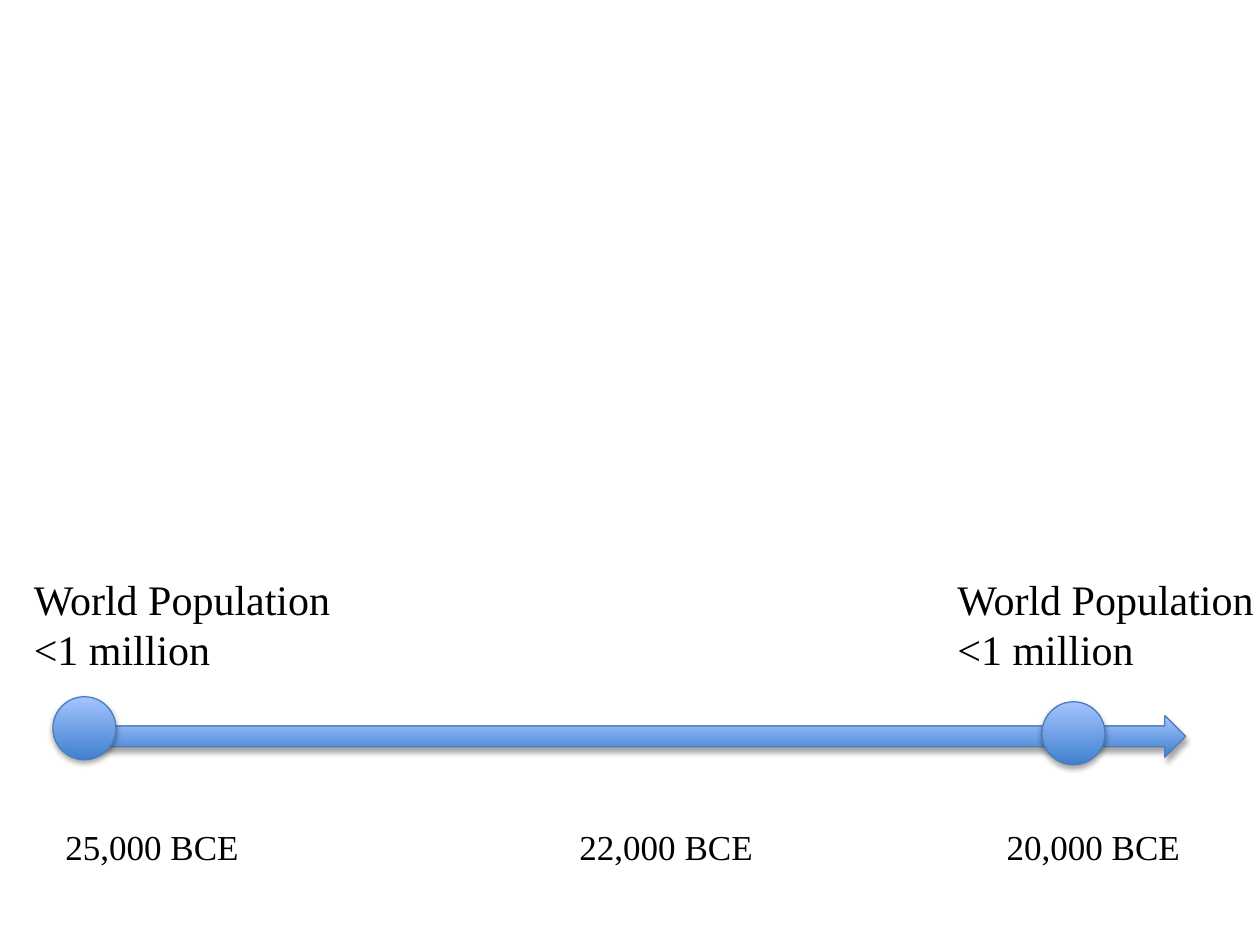
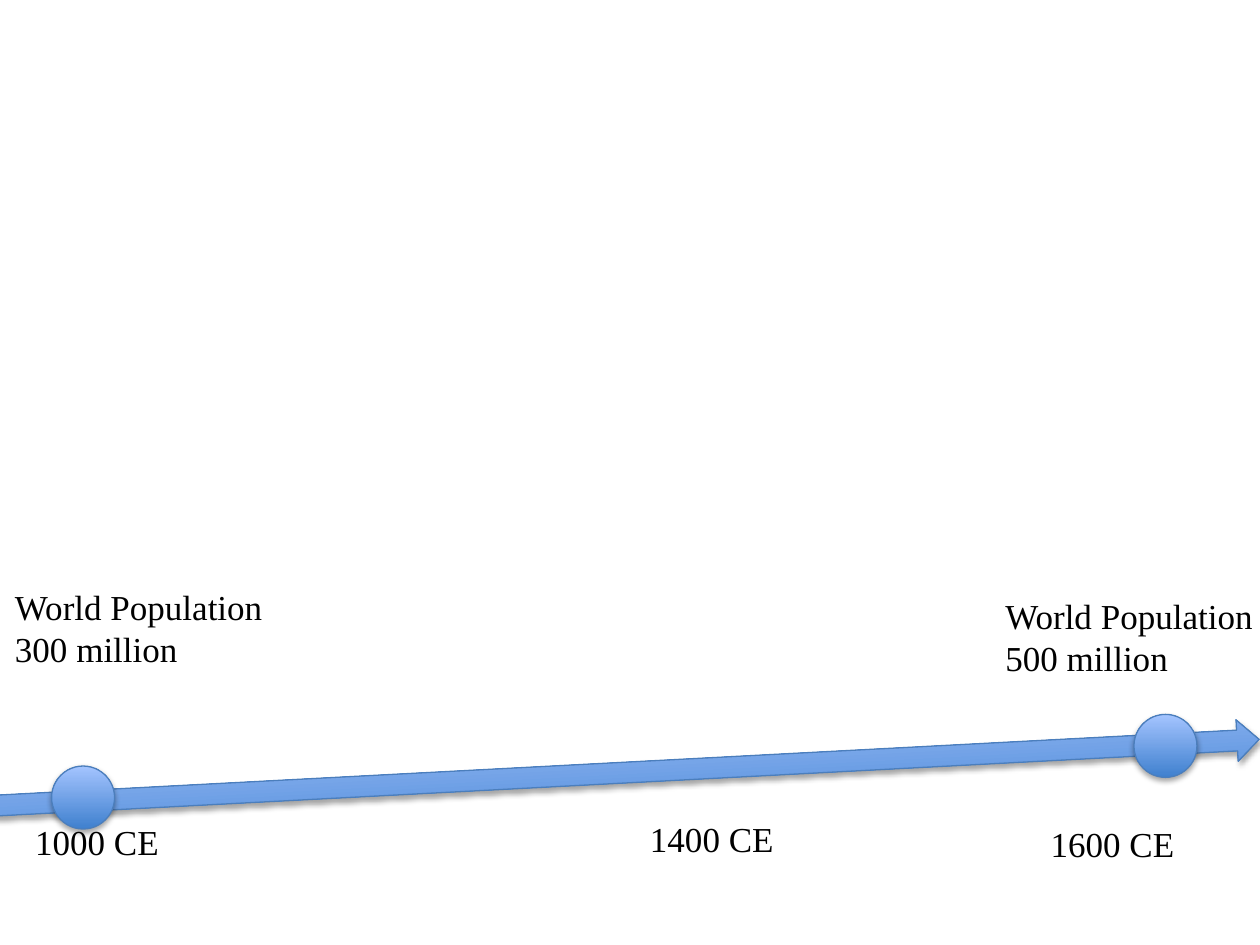
from dataclasses import dataclass

import lxml.etree
import pptx
import pptx.dml.color
import pptx.enum.shapes
import pptx.enum.text
import pptx.oxml
import pptx.oxml.ns
import pptx.util
from pptx.util import Inches


@dataclass(frozen=True)
class Theme:
    font: str = "Times New Roman"
    text: str = "000000"
    gradient: tuple = ("3F80CE", "A4C4FF")
    outline: str = "4B7EBC"
    shadow: str = "000000"
    date_size: int = 20
    marker_size: float = 0.5
    arrow_height: float = 0.33


THEME = Theme()
RGB = pptx.dml.color.RGBColor.from_string
SHAPES = pptx.enum.shapes.MSO_SHAPE

TIMELINES = [
    {
        "arrow": (0.58, 5.68, 8.83),
        "rotation": 0,
        "head_length": 0.5,
        "population_size": 24,
        "population_box": (2.66, 0.91),
        "populations": [(0.17, 4.5, "<1 million"), (7.5, 4.5, "<1 million")],
        "date_width": 1.59,
        "dates": [(0.42, 6.5, "25,000 BCE"), (4.5, 6.5, "22,000 BCE"), (7.89, 6.5, "20,000 BCE")],
        "markers": [(0.42, 5.53), (8.27, 5.57)],
    },
    {
        "arrow": (-0.18, 5.97, 10.18),
        "rotation": 357,
        "head_length": 0.53,
        "population_size": 20,
        "population_box": (2.25, 0.77),
        "populations": [(0.02, 4.6, "300 million"), (7.88, 4.67, "500 million")],
        "date_width": 1.19,
        "dates": [(0.18, 6.46, "1000 CE"), (5.06, 6.44, "1400 CE"), (8.24, 6.48, "1600 CE")],
        "markers": [(0.41, 6.08), (9, 5.67)],
    },
]


def add_glossy_shape(slide, kind, left, top, width, height):
    """Add a shape with the shared gradient, outline and soft shadow."""
    shape = slide.shapes.add_shape(kind, Inches(left), Inches(top), Inches(width), Inches(height))
    shape.fill.gradient()
    shape.fill.gradient_angle = 90
    for stop, color in zip(shape.fill.gradient_stops, THEME.gradient):
        stop.color.rgb = RGB(color)
    shape.line.color.rgb = RGB(THEME.outline)
    shape.line.width = pptx.util.Pt(0.75)

    shape.shadow.inherit = False
    effects = shape.element.spPr.find(pptx.oxml.ns.qn("a:effectLst"))
    effects.append(pptx.oxml.parse_xml(
        f'<a:outerShdw {pptx.oxml.ns.nsdecls("a")} blurRad="40000" dist="23000" '
        f'dir="5400000" rotWithShape="0"><a:srgbClr val="{THEME.shadow}">'
        '<a:alpha val="35000"/></a:srgbClr></a:outerShdw>'
    ))
    return shape


def add_label(slide, left, top, width, height, lines, size):
    box = slide.shapes.add_textbox(Inches(left), Inches(top), Inches(width), Inches(height))
    frame = box.text_frame
    frame.word_wrap = False
    frame.auto_size = pptx.enum.text.MSO_AUTO_SIZE.SHAPE_TO_FIT_TEXT
    for index, line in enumerate(lines):
        paragraph = frame.add_paragraph() if index else frame.paragraphs[0]
        run = paragraph.add_run()
        run.text = line
        run.font.name = THEME.font
        run.font.size = pptx.util.Pt(size)
        run.font.color.rgb = RGB(THEME.text)


presentation = pptx.Presentation()
presentation.slide_width = Inches(10)
presentation.slide_height = Inches(7.5)
blank_layout = presentation.slide_layouts[6]

for timeline in TIMELINES:
    slide = presentation.slides.add_slide(blank_layout)

    arrow = add_glossy_shape(slide, SHAPES.RIGHT_ARROW, *timeline["arrow"], THEME.arrow_height)
    arrow.rotation = timeline["rotation"]
    arrow.adjustments[1] = timeline["head_length"]

    for left, top, population in timeline["populations"]:
        add_label(slide, left, top, *timeline["population_box"],
                  ["World Population", population], timeline["population_size"])

    for left, top, date in timeline["dates"]:
        add_label(slide, left, top, timeline["date_width"], 0.44, [date], THEME.date_size)

    for left, top in timeline["markers"]:
        add_glossy_shape(slide, SHAPES.OVAL, left, top, THEME.marker_size, THEME.marker_size)

presentation.save("out.pptx")
